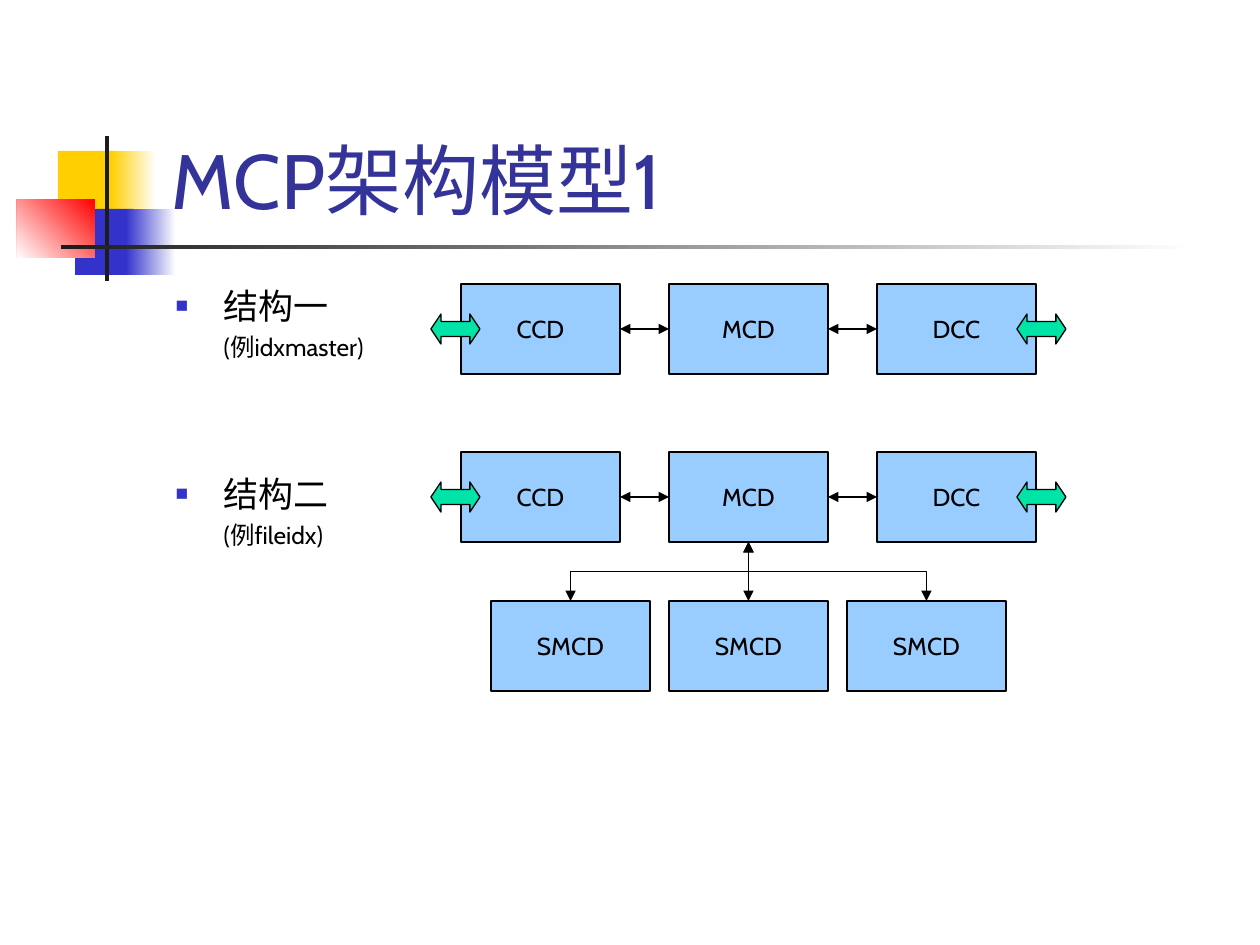
from lxml.etree import SubElement
from pptx import Presentation
from pptx.dml.color import RGBColor
from pptx.enum.shapes import MSO_CONNECTOR, MSO_SHAPE
from pptx.enum.text import MSO_ANCHOR, MSO_AUTO_SIZE, PP_ALIGN
from pptx.oxml.ns import qn
from pptx.util import Emu, Pt

COLORS = {
    "yellow": "FFCF01", "blue": "3333CC", "red": "FF0000", "white": "FFFFFF",
    "dark": "1C1C1C", "title": "333399", "black": "000000",
    "box": "99CCFF", "arrow": "00E4A8",
}
FONT = "Cabin"
BOX_W, BOX_H = 159, 90
MID_X = 669
ROW_PITCH, SUB_PITCH = 208, 178
ROW_1, ROW_2, SUB_ROW = 284, 452, 601
ARROW_W, ARROW_H = 49, 30
DECOR = [
    (58, 151, 60, 66, "yellow", None, 0),
    (111, 151, 45, 66, "white", "yellow", 180),
    (75, 209, 58, 66, "blue", None, 0),
    (126, 209, 50, 66, "white", "blue", 180),
    (17, 199, 78, 59, "red", "white", 225),
    (105, 136, 4, 145, "dark", None, 0),
    (61, 245, 1134, 4, "white", "dark", 180),
]
BODY = [
    ("结构一", 20, 5, True),
    ("(例idxmaster)", 14, 3.5, False),
    ("结构二", 20, 63, True),
    ("(例fileidx)", 14, 3.5, False),
]


def px(n):
    return Emu(round(n * 914400 / 126))


def rgb(name):
    return RGBColor.from_string(COLORS[name])


def set_attrs(obj, fmt):
    for name, value in fmt.items():
        setattr(obj, name, value)


def add_text(p, text, size, color="black"):
    r = p.add_run()
    r.text = text
    set_attrs(r.font, {"name": FONT, "size": Pt(size), "bold": False})
    r.font.color.rgb = rgb(color)


def place(ph, x, y, w, h, anchor):
    set_attrs(ph, {"left": px(x), "top": px(y), "width": px(w), "height": px(h)})
    set_attrs(ph.text_frame, {"auto_size": MSO_AUTO_SIZE.NONE, "word_wrap": True,
                              "vertical_anchor": anchor})


def add_preset(s, kind, x, y, w, h, fill, line=True):
    sp = s.shapes.add_shape(kind, px(x), px(y), px(w), px(h))
    sp.shadow.inherit = False
    sp.fill.solid()
    sp.fill.fore_color.rgb = rgb(fill)
    if line:
        sp.line.color.rgb = rgb("black")
        sp.line.width = Pt(0.75)
    else:
        sp.line.fill.background()
    return sp


def add_decor(s, x, y, w, h, first, last, angle):
    sp = add_preset(s, MSO_SHAPE.RECTANGLE, x, y, w, h, first, line=False)
    if last:
        sp.fill.gradient()
        sp.fill.gradient_angle = angle
        for stop, name in zip(sp.fill.gradient_stops, (first, last)):
            stop.color.rgb = rgb(name)


def add_box(s, x, y, text):
    sp = add_preset(s, MSO_SHAPE.RECTANGLE, x, y, BOX_W, BOX_H, "box")
    tf = sp.text_frame
    set_attrs(tf, {"word_wrap": False, "vertical_anchor": MSO_ANCHOR.MIDDLE})
    p = tf.paragraphs[0]
    p.alignment = PP_ALIGN.CENTER
    add_text(p, text, 14)
    return sp


def add_block_arrow(s, x, y):
    sp = add_preset(s, MSO_SHAPE.LEFT_RIGHT_ARROW, x, y, ARROW_W, ARROW_H, "arrow")
    sp.adjustments[0], sp.adjustments[1] = 0.5, 0.334


def add_line(s, kind, x1, y1, x2, y2):
    c = s.shapes.add_connector(kind, px(x1), px(y1), px(x2), px(y2))
    c.line.color.rgb = rgb("black")
    c.line.width = Pt(0.75)
    ln = c.line._get_or_add_ln()
    for end in ("a:headEnd", "a:tailEnd"):
        SubElement(ln, qn(end), type="triangle")
    SubElement(c._element.spPr, qn("a:effectLst"))
    return c


def join(s, a, a_side, b, b_side):
    c = add_line(s, MSO_CONNECTOR.STRAIGHT, 0, 0, 0, 0)
    c.begin_connect(a, a_side)
    c.end_connect(b, b_side)


def add_branch(s, x1, y1, x2, y2):
    cx, cy = (x1 + x2) / 2, (y1 + y2) / 2
    half_w, half_h = (y2 - y1) / 2, abs(x2 - x1) / 2
    side = 1 if x2 < x1 else -1
    c = add_line(s, MSO_CONNECTOR.ELBOW, cx - side * half_w, cy - half_h,
                 cx + side * half_w, cy + half_h)
    c._element.spPr.xfrm.set("rot", str((90 if side > 0 else 270) * 60000))


def add_row(s, y):
    boxes = [add_box(s, MID_X + i * ROW_PITCH, y, text)
             for i, text in zip((-1, 0, 1), ("CCD", "MCD", "DCC"))]
    for a, b in zip(boxes, boxes[1:]):
        join(s, a, 3, b, 1)
    arrow_y = y + (BOX_H - ARROW_H) / 2
    add_block_arrow(s, MID_X - ROW_PITCH - 30, arrow_y)
    add_block_arrow(s, MID_X + ROW_PITCH + BOX_W - 19, arrow_y)
    return boxes[1]


def add_sub_row(s, parent):
    mid = MID_X + BOX_W / 2
    for i in (-1, 0, 1):
        box = add_box(s, MID_X + i * SUB_PITCH, SUB_ROW, "SMCD")
        if i:
            add_branch(s, mid, ROW_2 + BOX_H, mid + i * SUB_PITCH, SUB_ROW)
        else:
            join(s, box, 0, parent, 2)


def fill_title(title):
    place(title, 159, 29, 1074, 202, MSO_ANCHOR.BOTTOM)
    p = title.text_frame.paragraphs[0]
    p.alignment = PP_ALIGN.LEFT
    add_text(p, "MCP架构模型1", 44, "title")


def add_bullet(pPr):
    SubElement(SubElement(pPr, qn("a:buClr")), qn("a:srgbClr"), val=COLORS["blue"])
    SubElement(pPr, qn("a:buSzPct"), val="60000")
    SubElement(pPr, qn("a:buChar"), char="■")


def fill_body(body):
    place(body, 163, 278, 1071, 567, MSO_ANCHOR.TOP)
    tf = body.text_frame
    for i, (text, size, before, bullet) in enumerate(BODY):
        p = tf.add_paragraph() if i else tf.paragraphs[0]
        p.space_before = Pt(before)
        pPr = p._p.get_or_add_pPr()
        pPr.set("marL", str(px(48)))
        pPr.set("indent", str(-px(48) if bullet else 0))
        if bullet:
            add_bullet(pPr)
        else:
            SubElement(pPr, qn("a:buNone"))
        add_text(p, text, size)


def main():
    prs = Presentation()
    set_attrs(prs, {"slide_width": px(1260), "slide_height": px(945)})
    s = prs.slides.add_slide(prs.slide_layouts[1])
    title, body = s.placeholders
    for item in DECOR:
        add_decor(s, *item)
    for ph in (title, body):
        ph._element.getparent().append(ph._element)
    fill_title(title)
    fill_body(body)
    add_sub_row(s, add_row(s, ROW_2))
    add_row(s, ROW_1)
    prs.save("out.pptx")


if __name__ == "__main__":
    main()
